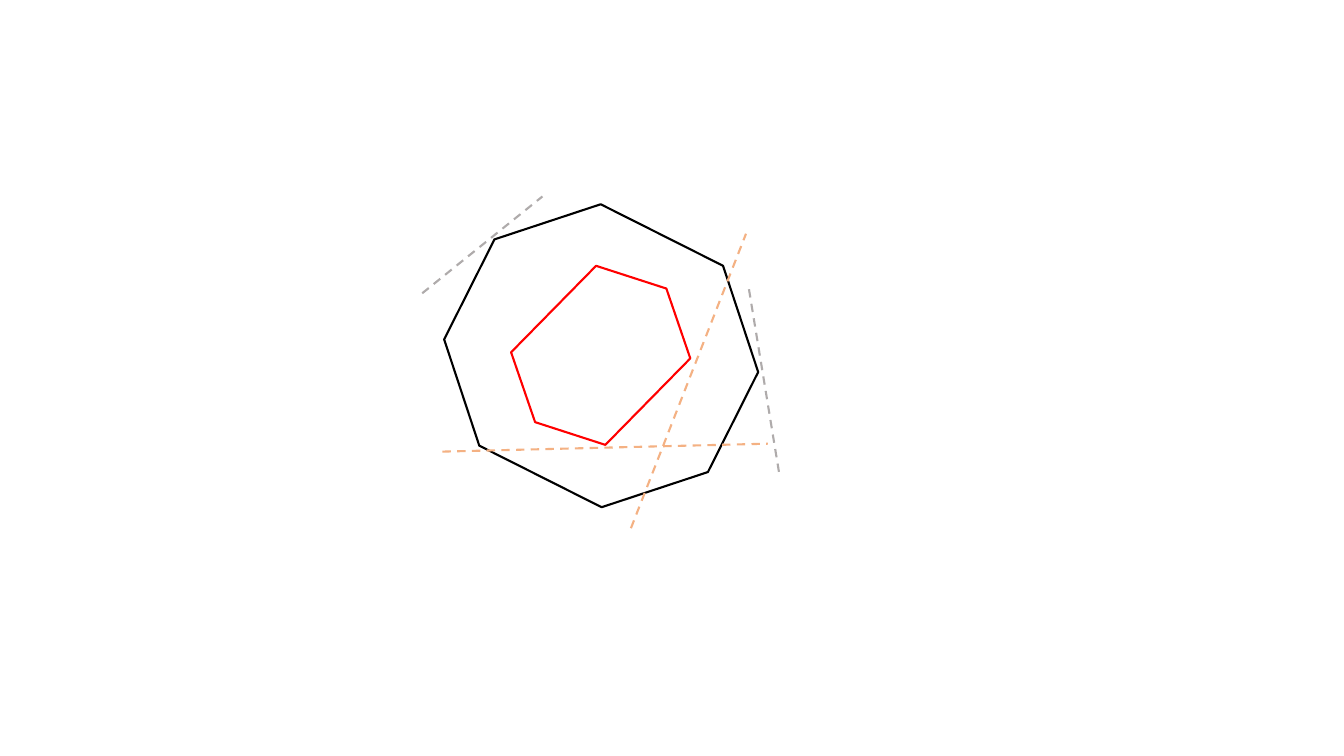
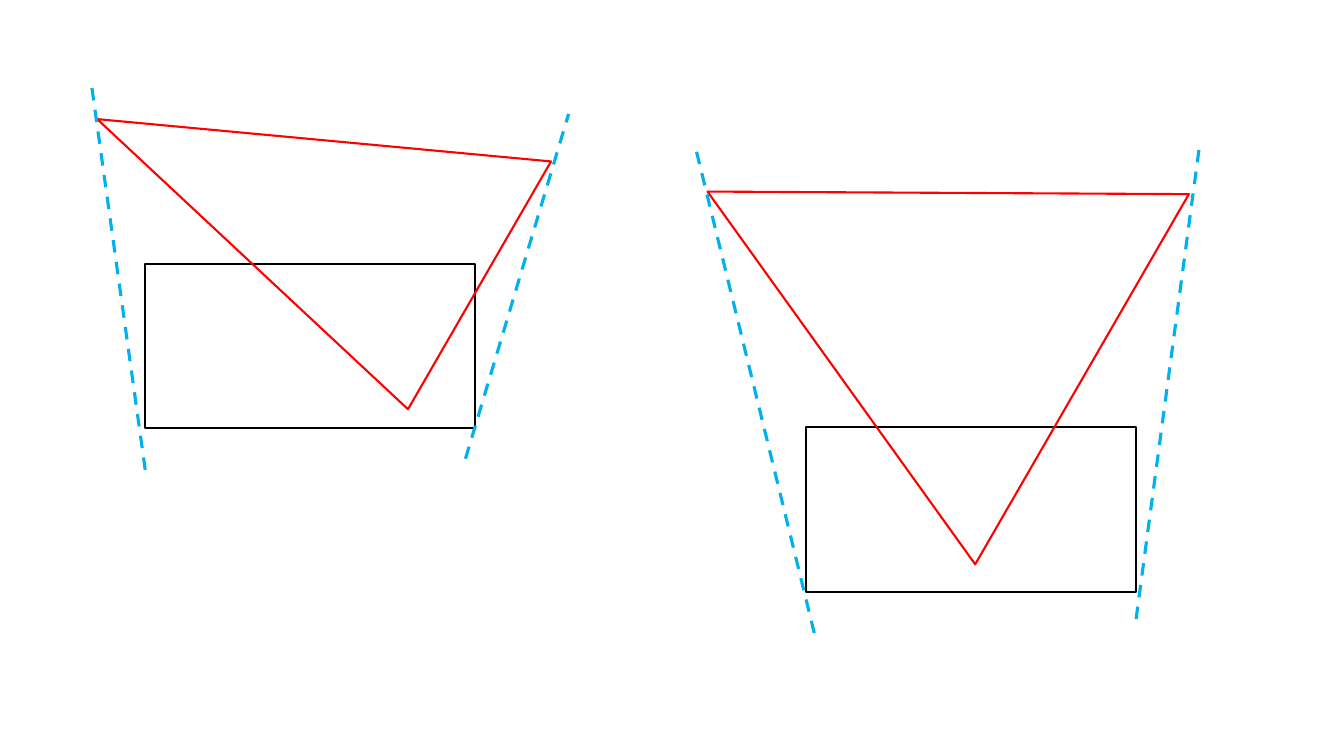
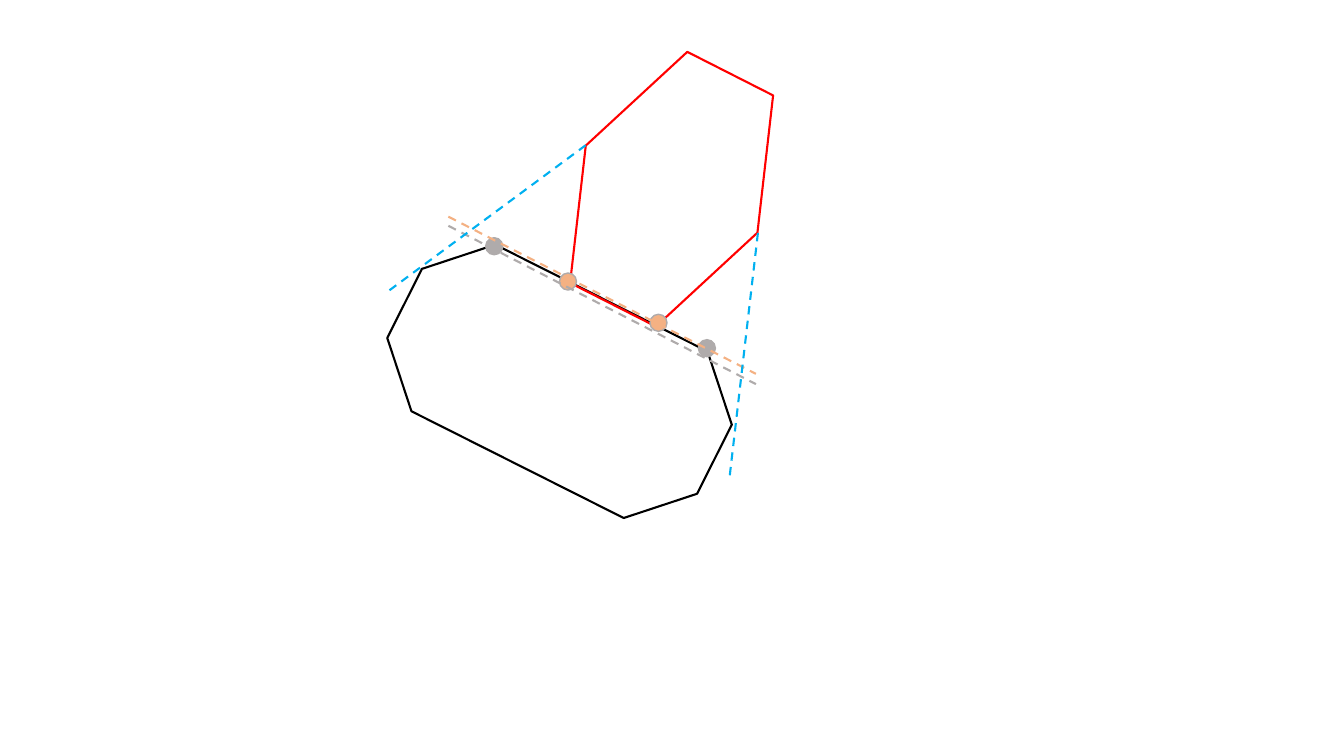
from dataclasses import dataclass

from lxml import etree
from pptx import Presentation
from pptx.dml.color import RGBColor
from pptx.enum.dml import MSO_LINE
from pptx.enum.shapes import MSO_CONNECTOR, MSO_SHAPE
from pptx.oxml.ns import qn
from pptx.slide import Slide
from pptx.util import Cm, Pt

DASH = MSO_LINE.DASH
STRAIGHT = MSO_CONNECTOR.STRAIGHT
OCTAGON = MSO_SHAPE.OCTAGON
HEXAGON = MSO_SHAPE.HEXAGON
TRIANGLE = MSO_SHAPE.ISOSCELES_TRIANGLE
RECTANGLE = MSO_SHAPE.RECTANGLE
OVAL = MSO_SHAPE.OVAL


@dataclass(frozen=True)
class Theme:
    black: str = "000000"
    red: str = "FF0000"
    gray: str = "AFABAB"
    orange: str = "F4B183"
    blue: str = "00B0F0"
    thin: float = 1
    normal: float = 1.5
    thick: float = 2.25


T = Theme()


@dataclass(frozen=True)
class Figure:
    kind: MSO_SHAPE
    left: float
    top: float
    width: float
    height: float
    color: str
    rotation: float = 0
    apex: float | None = None
    fill: str | None = None
    weight: float = T.normal


@dataclass(frozen=True)
class Tangent:
    x1: float
    y1: float
    x2: float
    y2: float
    color: str
    weight: float = T.normal


def box(left: float, top: float) -> Figure:
    return Figure(RECTANGLE, left, top, 8.31, 4.14, T.black)


def dot(left: float, top: float, fill: str) -> Figure:
    return Figure(OVAL, left, top, 0.43, 0.43, T.gray, fill=fill, weight=T.thin)


def draw_figure(s: Slide, f: Figure) -> None:
    sp = s.shapes.add_shape(f.kind, Cm(f.left), Cm(f.top), Cm(f.width), Cm(f.height))
    sp.shadow.inherit = False
    sp.rotation = f.rotation
    if f.apex is not None:
        sp.adjustments[0] = f.apex
    if f.fill:
        sp.fill.solid()
        sp.fill.fore_color.rgb = RGBColor.from_string(f.fill)
    else:
        sp.fill.background()
    sp.line.color.rgb = RGBColor.from_string(f.color)
    sp.line.width = Pt(f.weight)


def draw_tangent(s: Slide, t: Tangent) -> None:
    cxn = s.shapes.add_connector(STRAIGHT, Cm(t.x1), Cm(t.y1), Cm(t.x2), Cm(t.y2))
    cxn.line.color.rgb = RGBColor.from_string(t.color)
    cxn.line.width = Pt(t.weight)
    cxn.line.dash_style = DASH
    etree.SubElement(cxn._element.spPr, qn("a:effectLst"))


NESTED_POLYGONS = [
    Figure(OCTAGON, 11.43, 5.56, 7.44, 6.81, T.black, rotation=26.7),
    Figure(HEXAGON, 12.78, 7.29, 4.72, 3.33, T.red, rotation=314.5),
    Tangent(10.64, 7.39, 13.67, 4.95, T.gray),
    Tangent(11.15, 11.38, 19.35, 11.18, T.orange),
    Tangent(15.9, 13.31, 18.8, 5.89, T.orange),
    Tangent(19.63, 11.89, 18.87, 7.26, T.gray),
]

CROSSING_TRIANGLES = [
    box(3.66, 6.65),
    Figure(TRIANGLE, 3.96, -0.64, 7.21, 10.44, T.red, rotation=300, apex=0.335),
    box(20.32, 10.77),
    Figure(TRIANGLE, 17.32, 1.65, 10.77, 10.54, T.red, rotation=300, apex=0.442),
    Tangent(3.66, 11.84, 2.29, 2.03, T.blue, T.thick),
    Tangent(11.73, 11.56, 14.33, 2.87, T.blue, T.thick),
    Tangent(20.52, 15.95, 17.55, 3.81, T.blue, T.thick),
    Tangent(28.63, 15.6, 30.23, 3.66, T.blue, T.thick),
]

TOUCHING_POLYGONS = [
    Figure(OCTAGON, 9.73, 7.26, 8.74, 4.7, T.black, rotation=26.7),
    Figure(HEXAGON, 14.5, 1.5, 4.85, 6.53, T.red, rotation=206.9),
    dot(12.24, 5.99, T.gray),
    dot(17.6, 8.56, T.gray),
    dot(14.1, 6.88, T.orange),
    dot(16.38, 7.92, T.orange),
    Tangent(11.3, 5.46, 19.05, 9.42, T.orange),
    Tangent(11.3, 5.69, 19.05, 9.68, T.gray),
    Tangent(19.1, 5.87, 18.39, 11.99, T.blue),
    Tangent(14.76, 3.66, 9.78, 7.34, T.blue),
]


def add_diagram(prs: Presentation, items: list[Figure | Tangent]) -> None:
    s = prs.slides.add_slide(prs.slide_layouts[6])
    for item in items:
        if isinstance(item, Figure):
            draw_figure(s, item)
        else:
            draw_tangent(s, item)


prs = Presentation()
prs.slide_width = Cm(33.87)
prs.slide_height = Cm(19.05)
for diagram in (NESTED_POLYGONS, CROSSING_TRIANGLES, TOUCHING_POLYGONS):
    add_diagram(prs, diagram)
prs.save("out.pptx")
